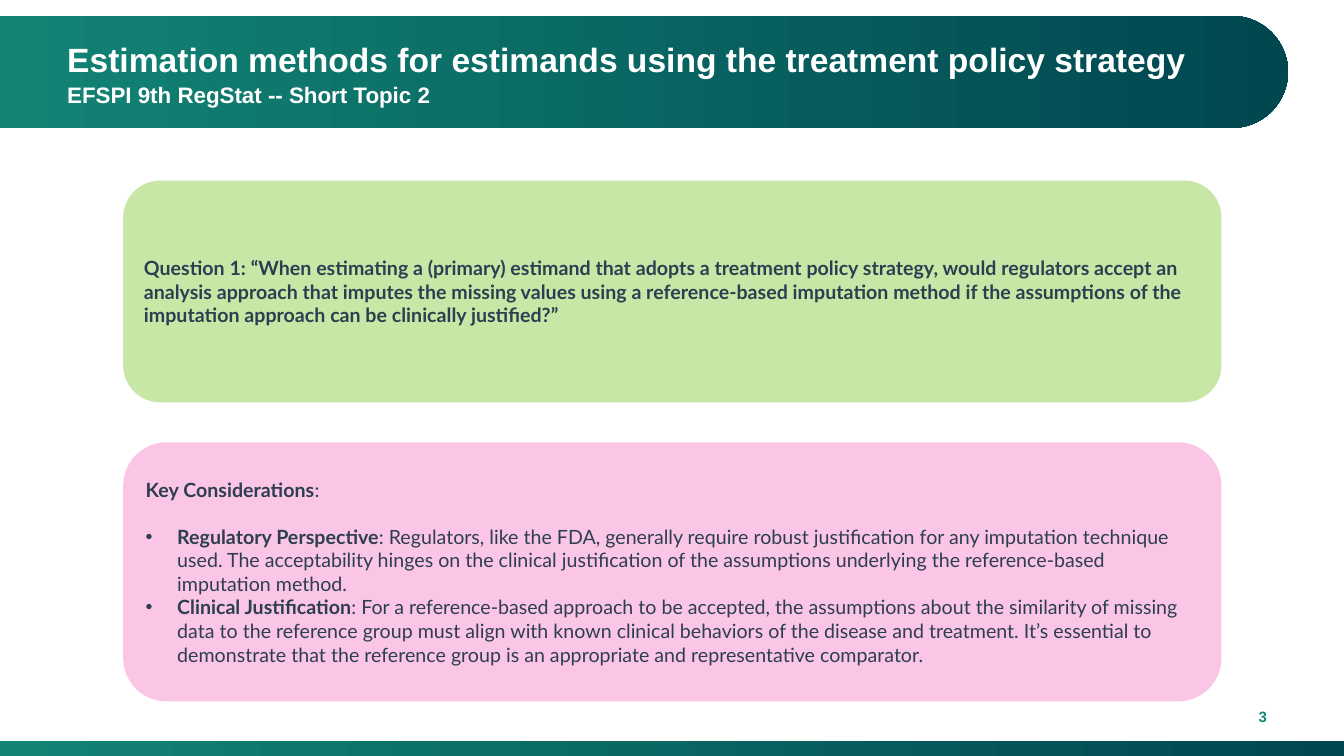
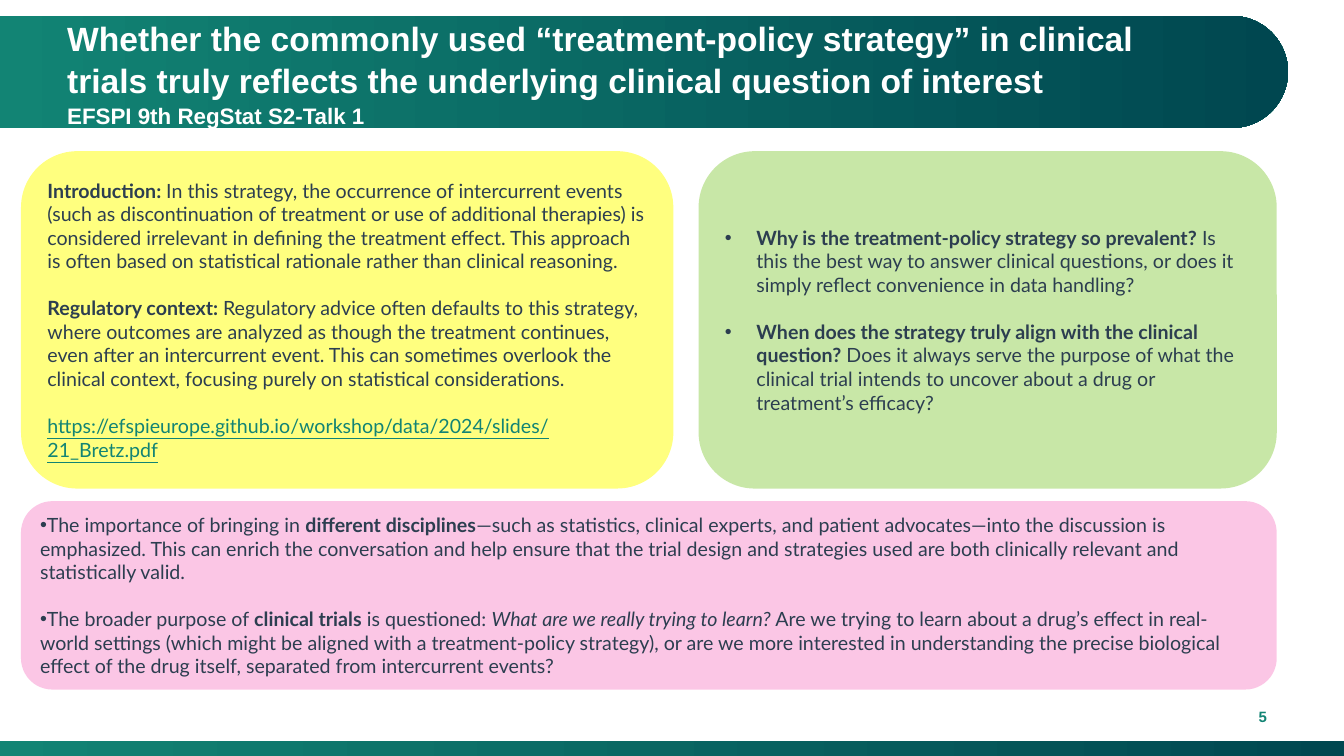
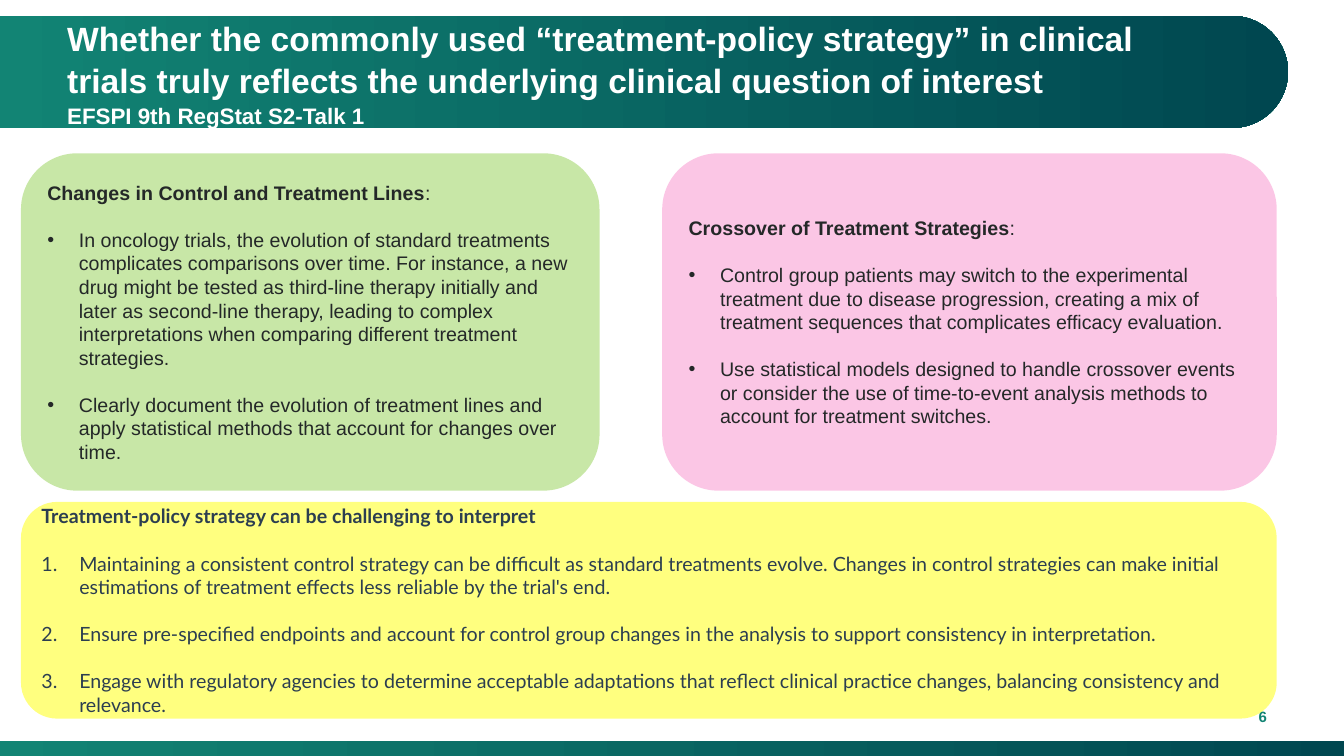
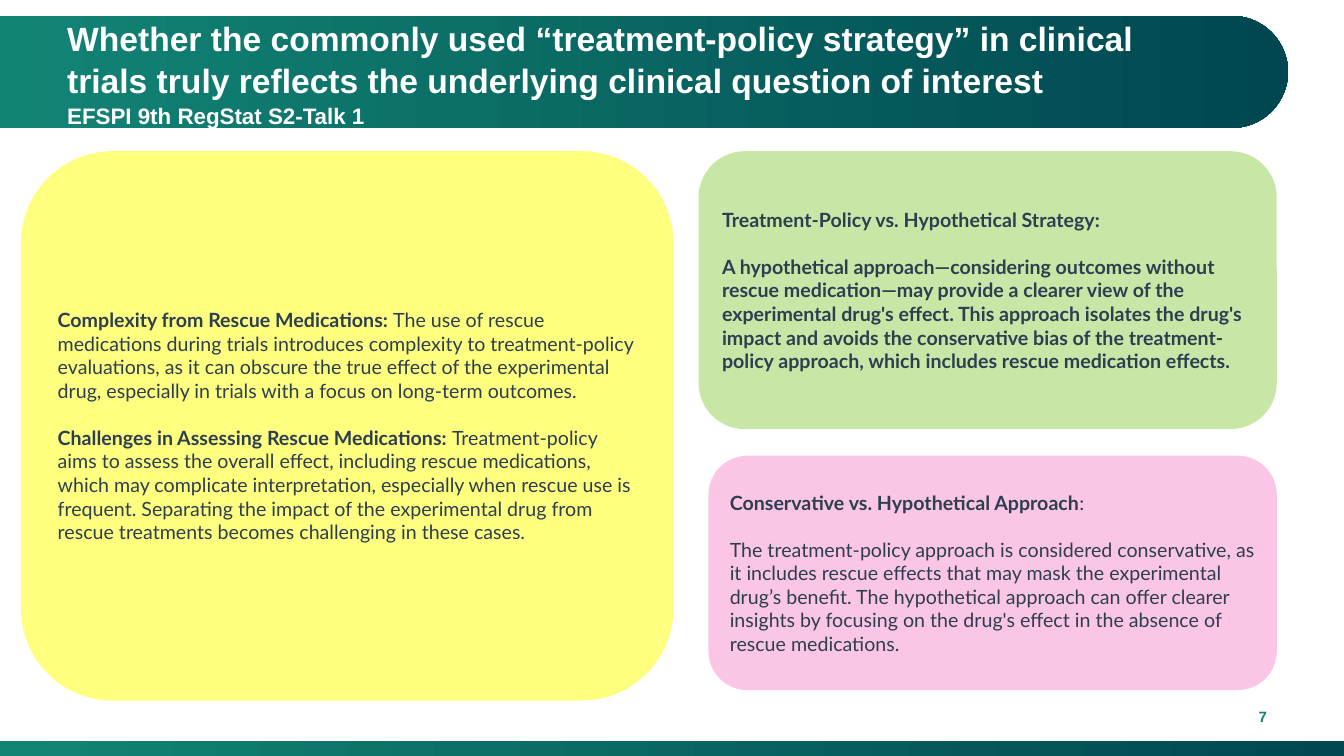
import pptx
import pptx.dml.color
import pptx.enum.shapes
import pptx.enum.text
import pptx.oxml
import pptx.oxml.ns
import pptx.shapes.shapetree
import pptx.util
from lxml import etree

Pt = pptx.util.Pt
RGBColor = pptx.dml.color.RGBColor
SHAPE = pptx.enum.shapes.MSO_SHAPE
ALIGN = pptx.enum.text.PP_ALIGN
ANCHOR = pptx.enum.text.MSO_ANCHOR
AUTO_SIZE = pptx.enum.text.MSO_AUTO_SIZE
qn = pptx.oxml.ns.qn

# Colours
TEAL = RGBColor(0x12, 0x84, 0x74)
DEEP_TEAL = RGBColor(0x00, 0x47, 0x50)
WHITE = RGBColor(0xFF, 0xFF, 0xFF)
SLATE = RGBColor(0x2C, 0x3E, 0x50)
CHARCOAL = RGBColor(0x24, 0x28, 0x28)
GREEN = RGBColor(0x92, 0xD0, 0x50)
PINK = RGBColor(0xF9, 0x8F, 0xCC)
YELLOW = RGBColor(0xFF, 0xFF, 0x00)

# Page and text measures, in points
PAGE_WIDTH, PAGE_HEIGHT = 960, 540
LEFT, RIGHT = 15, 912
BAND_LENGTH, BAND_HEIGHT, BAND_TOP = 920, 80, 11.4
BODY_SIZE, LINE = 14, 16.8

# Paragraph kinds: bullet element, left margin, first-line indent
PLAIN = None
BULLET = ("buChar", {"char": "•"}, 22.5)
FLUSH_BULLET = ("buChar", {"char": "•"}, 0)
NUMBER = ("buAutoNum", {"type": "arabicPeriod"}, 27)


def bold(text):
    return text, "bold"


def italic(text):
    return text, "italic"


def address(text):
    return text, "address"


def para(*runs, kind=PLAIN, gap=True):
    """A paragraph; gap leaves one line free above it."""
    return runs, kind, gap


class Deck:
    def __init__(self):
        self.prs = pptx.Presentation()
        self.prs.slide_width = Pt(PAGE_WIDTH)
        self.prs.slide_height = Pt(PAGE_HEIGHT)
        self.layout = self.prs.slide_layouts.get_by_name("Title Only")
        self.slide = None
        self.draw_bands()

    def draw_bands(self):
        """Title band and foot strip, shared through the layout."""
        shapes = pptx.shapes.shapetree.SlideShapes(self.layout.shapes._spTree, self.layout)
        title_band = shapes.add_shape(
            SHAPE.ROUND_2_SAME_RECTANGLE,
            Pt((BAND_LENGTH - BAND_HEIGHT) / 2),
            Pt(BAND_TOP + (BAND_HEIGHT - BAND_LENGTH) / 2),
            Pt(BAND_HEIGHT), Pt(BAND_LENGTH))
        title_band.rotation = 90
        title_band.adjustments[0] = 0.5
        foot_strip = shapes.add_shape(
            SHAPE.RECTANGLE, 0, Pt(529), Pt(PAGE_WIDTH), Pt(PAGE_HEIGHT - 529))
        for band, angle in ((title_band, 90), (foot_strip, 0)):
            band.shadow.inherit = False
            band.line.fill.background()
            band.fill.gradient()
            band.fill.gradient_angle = angle
            for stop, color in zip(band.fill.gradient_stops, (TEAL, DEEP_TEAL)):
                stop.color.rgb = color

    def add_run(self, paragraph, text, size, color, font, strong=False):
        run = paragraph.add_run()
        run.text = text
        run.font.size = Pt(size)
        run.font.name = font
        run.font.color.rgb = color
        run.font.bold = strong
        return run

    def new_slide(self, number, title, subtitle):
        self.slide = self.prs.slides.add_slide(self.layout)
        # Title
        heading = self.slide.shapes.title
        heading.left, heading.top = Pt(48), Pt(14.4)
        heading.width, heading.height = Pt(832), Pt(74)
        frame = heading.text_frame
        frame.word_wrap = True
        frame.auto_size = AUTO_SIZE.NONE
        frame.vertical_anchor = ANCHOR.MIDDLE
        frame.margin_left = 0
        paragraph = frame.paragraphs[0]
        paragraph.alignment = ALIGN.LEFT
        paragraph.line_spacing = 1.06
        self.add_run(paragraph, title, 24, WHITE, "Arial", True)
        paragraph.add_line_break()
        self.add_run(paragraph, subtitle, 16, WHITE, "Arial", True)
        # Page number
        page = self.slide.shapes.add_textbox(Pt(688), Pt(500.4), Pt(224), Pt(22.4)).text_frame
        page.word_wrap = True
        page.vertical_anchor = ANCHOR.MIDDLE
        page.paragraphs[0].alignment = ALIGN.RIGHT
        self.add_run(page.paragraphs[0], str(number), 10.7, TEAL, "Arial", True)

    def set_bullet(self, paragraph, kind):
        tag, attributes, indent = kind
        properties = paragraph._p.get_or_add_pPr()
        properties.set("marL", str(Pt(indent)))
        properties.set("indent", str(-Pt(indent)))
        if tag == "buChar":
            etree.SubElement(properties, qn("a:buFont"), typeface="Arial")
        etree.SubElement(properties, qn("a:" + tag), **attributes)

    def panel(self, left, top, right, height, tint, *paragraphs, font="Lato", color=SLATE):
        """Half-transparent rounded panel with text."""
        box = self.slide.shapes.add_shape(
            SHAPE.ROUNDED_RECTANGLE, Pt(left), Pt(top), Pt(right - left), Pt(height))
        box.shadow.inherit = False
        box.line.fill.background()
        box.fill.solid()
        box.fill.fore_color.rgb = tint
        tint_element = box._element.spPr.find(qn("a:solidFill"))[0]
        etree.SubElement(tint_element, qn("a:alpha"), val="50000")
        frame = box.text_frame
        frame.word_wrap = True
        frame.vertical_anchor = ANCHOR.MIDDLE
        for index, (runs, kind, gap) in enumerate(paragraphs):
            paragraph = frame.add_paragraph() if index else frame.paragraphs[0]
            if kind:
                self.set_bullet(paragraph, kind)
            paragraph.alignment = ALIGN.LEFT
            paragraph.line_spacing = Pt(LINE)
            if index and gap:
                paragraph.space_before = Pt(LINE)
            for item in runs:
                text, style = (item, "") if isinstance(item, str) else item
                ink = TEAL if style == "address" else color
                run = self.add_run(paragraph, text, BODY_SIZE, ink, font, style == "bold")
                if style == "italic":
                    run.font.italic = True
                if style == "address":
                    run.font.underline = True


TALK = ("Whether the commonly used “treatment-policy strategy” in clinical trials truly "
        "reflects the underlying clinical question of interest",
        "EFSPI 9th RegStat S2-Talk 1")


def question_slide(deck):
    deck.new_slide(3, "Estimation methods for estimands using the treatment policy strategy",
                   "EFSPI 9th RegStat -- Short Topic 2")
    deck.panel(
        88, 129, 872.5, 158.4, GREEN,
        para(bold("Question 1: “When estimating a (primary) estimand that adopts a treatment "
                  "policy strategy, would regulators accept an analysis approach that imputes "
                  "the missing values using a reference-based imputation method if the "
                  "assumptions of the imputation approach can be clinically justified?”")))
    deck.panel(
        88, 316, 872.5, 185, PINK,
        para(bold("Key Considerations"), ":"),
        para(bold("Regulatory Perspective"),
             ": Regulators, like the FDA, generally require robust justification for any "
             "imputation technique used. The acceptability hinges on the clinical justification "
             "of the assumptions underlying the reference-based imputation method.",
             kind=BULLET),
        para(bold("Clinical Justification"),
             ": For a reference-based approach to be accepted, the assumptions about the "
             "similarity of missing data to the reference group must align with known clinical "
             "behaviors of the disease and treatment. It’s essential to demonstrate that the "
             "reference group is an appropriate and representative comparator.",
             kind=BULLET, gap=False))


def strategy_slide(deck):
    deck.new_slide(5, *TALK)
    deck.panel(
        LEFT, 108, 481, 241, YELLOW,
        para(bold("Introduction: "),
             "In this strategy, the occurrence of intercurrent events (such as discontinuation "
             "of treatment or use of additional therapies) is considered irrelevant in defining "
             "the treatment effect. This approach is often based on statistical rationale rather "
             "than clinical reasoning."),
        para(bold("Regulatory context: "),
             "Regulatory advice often defaults to this strategy, where outcomes are analyzed as "
             "though the treatment continues, even after an intercurrent event. This can "
             "sometimes overlook the clinical context, focusing purely on statistical "
             "considerations."),
        para(address("https://efspieurope.github.io/workshop/data/2024/slides/21_Bretz.pdf")))
    deck.panel(
        499, 108, RIGHT, 241, GREEN,
        para(bold("Why is the treatment-policy strategy so prevalent?"),
             " Is this the best way to answer clinical questions, or does it simply reflect "
             "convenience in data handling?", kind=BULLET),
        para(bold("When does the strategy truly align with the clinical question?"),
             " Does it always serve the purpose of what the clinical trial intends to uncover "
             "about a drug or treatment’s efficacy?", kind=BULLET))
    deck.panel(
        LEFT, 358, RIGHT, 134.6, PINK,
        para("The importance of bringing in ", bold("different disciplines"),
             "—such as statistics, clinical experts, and patient advocates—into the discussion "
             "is emphasized. This can enrich the conversation and help ensure that the trial "
             "design and strategies used are both clinically relevant and statistically valid.",
             kind=FLUSH_BULLET),
        para("The broader purpose of ", bold("clinical trials"), " is questioned: ",
             italic("What are we really trying to learn?"),
             " Are we trying to learn about a drug’s effect in real-world settings (which might "
             "be aligned with a treatment-policy strategy), or are we more interested in "
             "understanding the precise biological effect of the drug itself, separated from "
             "intercurrent events?", kind=FLUSH_BULLET))


def interpretation_slide(deck):
    deck.new_slide(6, *TALK)
    deck.panel(
        LEFT, 358.5, RIGHT, 154.8, YELLOW,
        para(bold("Treatment-policy strategy can be challenging to interpret")),
        para("Maintaining a consistent control strategy can be difficult as standard treatments "
             "evolve. Changes in control strategies can make initial estimations of treatment "
             "effects less reliable by the trial's end.", kind=NUMBER),
        para("Ensure pre-specified endpoints and account for control group changes in the "
             "analysis to support consistency in interpretation.", kind=NUMBER),
        para("Engage with regulatory agencies to determine acceptable adaptations that reflect "
             "clinical practice changes, balancing consistency and relevance.", kind=NUMBER))
    deck.panel(
        LEFT, 109.5, 428.3, 241, GREEN,
        para(bold("Changes in Control and Treatment Lines"), ":"),
        para("In oncology trials, the evolution of standard treatments complicates comparisons "
             "over time. For instance, a new drug might be tested as third-line therapy "
             "initially and later as second-line therapy, leading to complex interpretations "
             "when comparing different treatment strategies.", kind=BULLET),
        para("Clearly document the evolution of treatment lines and apply statistical methods "
             "that account for changes over time.", kind=BULLET),
        font="Arial", color=CHARCOAL)
    deck.panel(
        473, 109.5, RIGHT, 241, PINK,
        para(bold("Crossover of Treatment Strategies"), ":"),
        para("Control group patients may switch to the experimental treatment due to disease "
             "progression, creating a mix of treatment sequences that complicates efficacy "
             "evaluation.", kind=BULLET),
        para("Use statistical models designed to handle crossover events or consider the use of "
             "time-to-event analysis methods to account for treatment switches.", kind=BULLET),
        font="Arial", color=CHARCOAL)


def rescue_slide(deck):
    deck.new_slide(7, *TALK)
    deck.panel(
        LEFT, 108, 481, 392.4, YELLOW,
        para(bold("Complexity from Rescue Medications: "),
             "The use of rescue medications during trials introduces complexity to "
             "treatment-policy evaluations, as it can obscure the true effect of the "
             "experimental drug, especially in trials with a focus on long-term outcomes."),
        para(bold("Challenges in Assessing Rescue Medications: "),
             "Treatment-policy aims to assess the overall effect, including rescue medications, "
             "which may complicate interpretation, especially when rescue use is frequent. "
             "Separating the impact of the experimental drug from rescue treatments becomes "
             "challenging in these cases."))
    deck.panel(
        499, 108, RIGHT, 198.5, GREEN,
        para(bold("Treatment-Policy vs. Hypothetical Strategy:")),
        para(bold("A hypothetical approach—considering outcomes without rescue medication—may "
                  "provide a clearer view of the experimental drug's effect. This approach "
                  "isolates the drug's impact and avoids the conservative bias of the "
                  "treatment-policy approach, which includes rescue medication effects.")))
    deck.panel(
        506, 325.5, RIGHT, 167.5, PINK,
        para(bold("Conservative vs. Hypothetical Approach"), ":"),
        para("The treatment-policy approach is considered conservative, as it includes rescue "
             "effects that may mask the experimental drug’s benefit. The hypothetical approach "
             "can offer clearer insights by focusing on the drug's effect in the absence of "
             "rescue medications."))


def main():
    deck = Deck()
    for build in (question_slide, strategy_slide, interpretation_slide, rescue_slide):
        build(deck)
    deck.prs.save("out.pptx")


if __name__ == "__main__":
    main()
